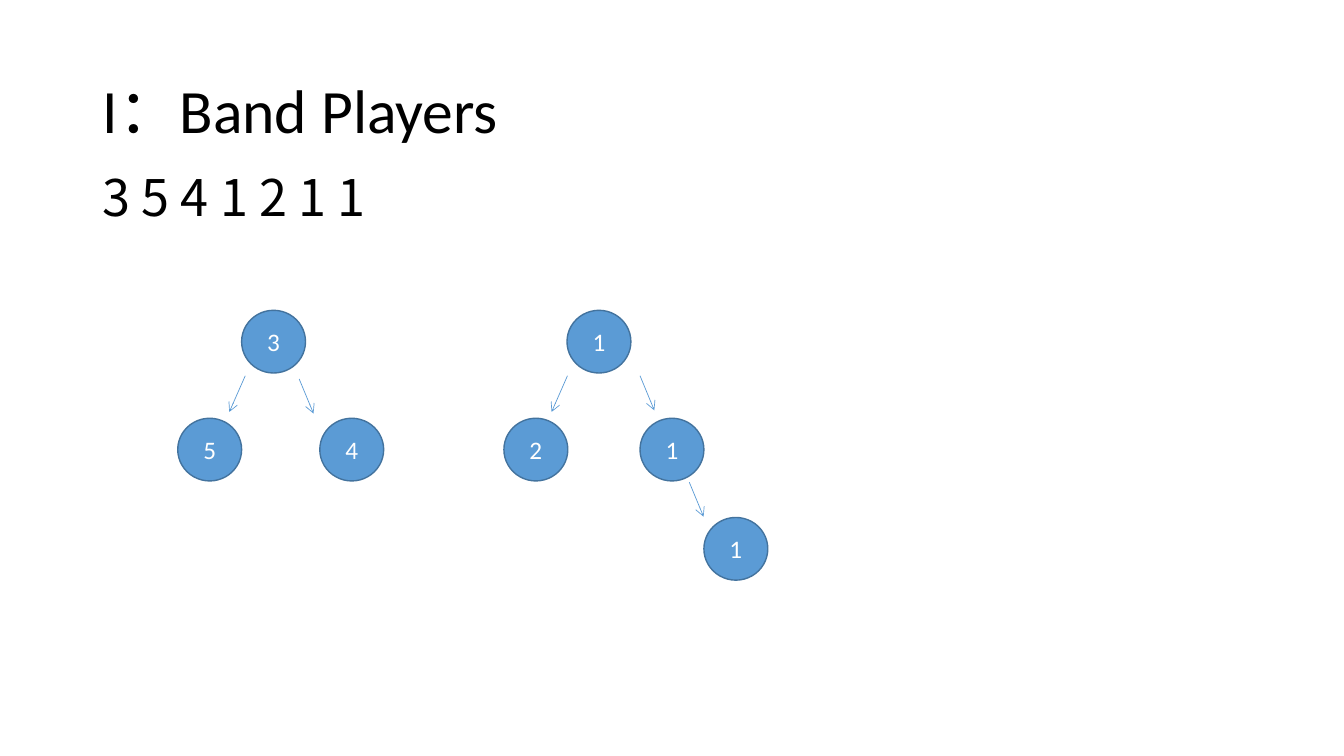
from dataclasses import dataclass

from lxml.etree import SubElement
from pptx import Presentation
from pptx.dml.color import RGBColor
from pptx.enum.shapes import MSO_CONNECTOR as Link, MSO_SHAPE as Kind
from pptx.enum.text import MSO_ANCHOR as Anchor, MSO_AUTO_SIZE as Fit, PP_ALIGN as Align
from pptx.oxml.ns import qn
from pptx.util import Cm, Pt

WIDE, HIGH = 1.61, 1.58
ROWS = (7.82, 10.54, 13.04)
LATIN, HAN = "Calibri", "Noto Sans CJK SC"
BLUE, EDGE, BLACK, WHITE = "5B9BD5", "43739E", "000000", "FFFFFF"


@dataclass
class Node:
    label: str
    left: float
    row: int


@dataclass
class Arrow:
    x: float
    y: float
    dx: float
    dy: float


NODES = [
    Node("3", 6.09, 0),
    Node("5", 4.48, 1),
    Node("4", 8.06, 1),
    Node("1", 14.29, 0),
    Node("2", 12.7, 1),
    Node("1", 16.13, 1),
    Node("1", 17.74, 2),
]
ARROWS = [
    Arrow(6.18, 9.47, -0.4, 0.91),
    Arrow(14.3, 9.47, -0.4, 0.91),
    Arrow(7.54, 9.55, 0.36, 0.87),
    Arrow(16.13, 9.47, 0.36, 0.87),
    Arrow(17.37, 12.15, 0.36, 0.87),
]


def paint(code: str) -> RGBColor:
    return RGBColor.from_string(code)


def write(shape, text: str, size: int, color: str, face: str, align: Align) -> None:
    frame = shape.text_frame
    frame.text = text
    line = frame.paragraphs[0]
    line.alignment = align
    font = line.runs[0].font
    font.size = Pt(size)
    font.name = face
    font.color.rgb = paint(color)
    SubElement(font._element, qn("a:ea")).set("typeface", HAN)


def draw_node(slide, node: Node) -> None:
    ball = slide.shapes.add_shape(
        Kind.OVAL, Cm(node.left), Cm(ROWS[node.row]), Cm(WIDE), Cm(HIGH))
    ball.shadow.inherit = False
    ball.fill.solid()
    ball.fill.fore_color.rgb = paint(BLUE)
    ball.line.color.rgb = paint(EDGE)
    ball.line.width = Pt(1)
    ball.text_frame.vertical_anchor = Anchor.MIDDLE
    write(ball, node.label, 18, WHITE, LATIN, Align.CENTER)


def draw_arrow(slide, arrow: Arrow) -> None:
    link = slide.shapes.add_connector(
        Link.STRAIGHT, Cm(arrow.x), Cm(arrow.y),
        Cm(arrow.x + arrow.dx), Cm(arrow.y + arrow.dy))
    link.line.color.rgb = paint(BLUE)
    link.line.width = Pt(0.5)
    SubElement(link.line._get_or_add_ln(), qn("a:tailEnd")).set("type", "arrow")
    SubElement(link._element.spPr, qn("a:effectLst"))


def draw_head(slide) -> None:
    title = slide.shapes.title
    title.left, title.top, title.width, title.height = (
        Cm(2.33), Cm(1.01), Cm(29.21), Cm(3.68))
    title.text_frame.vertical_anchor = Anchor.MIDDLE
    title.text_frame.auto_size = Fit.NONE
    write(title, "I：Band Players", 44, BLACK, LATIN, Align.LEFT)
    title.text_frame.paragraphs[0].line_spacing = 0.9

    box = slide.shapes.add_textbox(Cm(2.33), Cm(4.06), Cm(7.34), Cm(1.78))
    box.text_frame.word_wrap = False
    box.text_frame.auto_size = Fit.SHAPE_TO_FIT_TEXT
    write(box, "3 5 4 1 2 1 1", 36, BLACK, HAN, Align.LEFT)


def main() -> None:
    deck = Presentation()
    deck.slide_width, deck.slide_height = Cm(33.87), Cm(19.05)
    slide = deck.slides.add_slide(deck.slide_layouts[5])
    draw_head(slide)
    for node in NODES:
        draw_node(slide, node)
    for arrow in ARROWS:
        draw_arrow(slide, arrow)
    deck.save("out.pptx")


if __name__ == "__main__":
    main()
